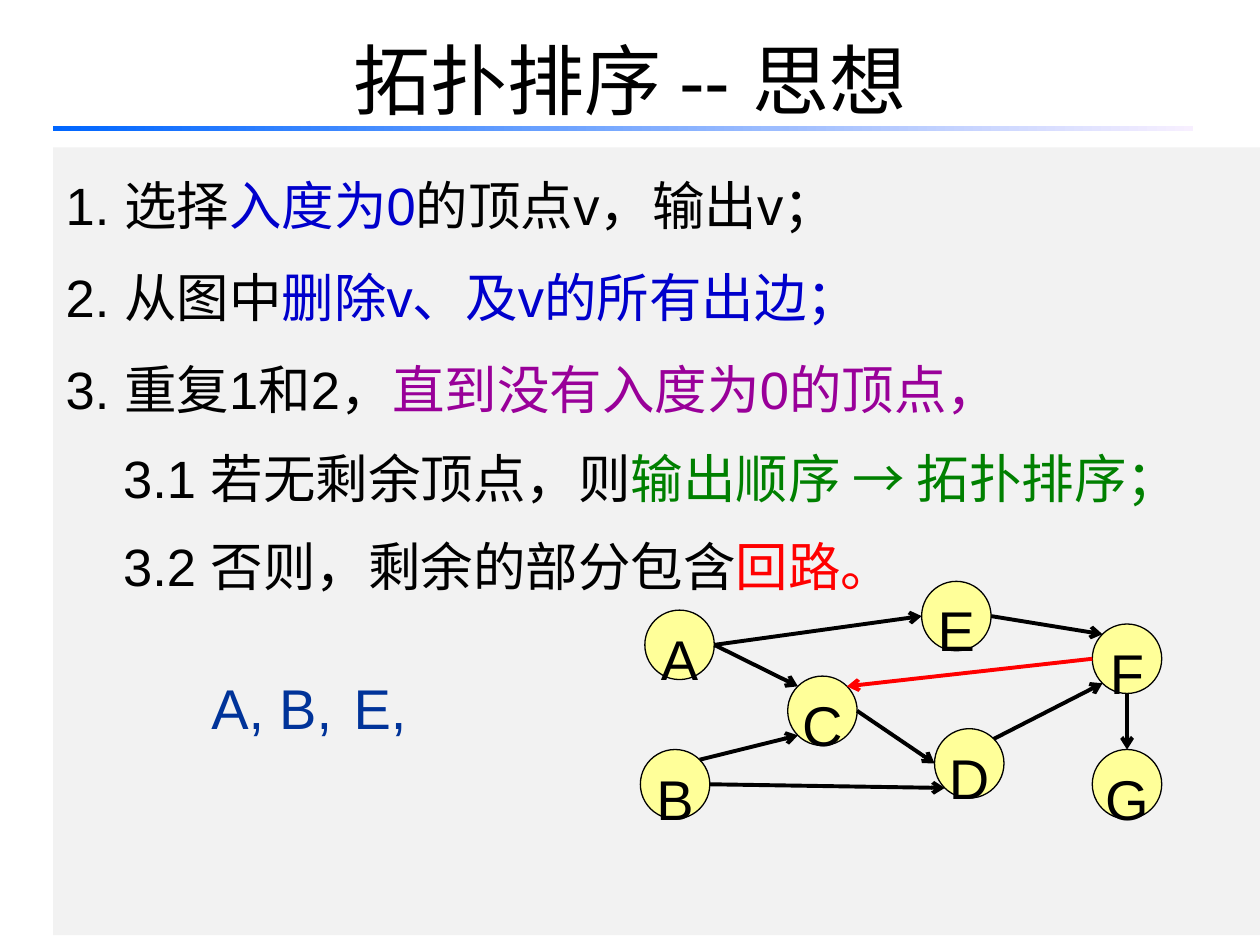
from dataclasses import dataclass
from math import cos, radians, sin

from lxml.etree import SubElement
from pptx import Presentation
from pptx.dml.color import RGBColor
from pptx.enum.shapes import MSO_CONNECTOR, MSO_SHAPE
from pptx.enum.text import MSO_ANCHOR, MSO_AUTO_SIZE, PP_ALIGN
from pptx.oxml.ns import qn
from pptx.util import Cm, Pt


@dataclass(frozen=True)
class Theme:
    font: str = "Arial"
    black: str = "000000"
    blue: str = "0000CC"
    purple: str = "990099"
    green: str = "008000"
    red: str = "FF0000"
    navy: str = "003399"
    panel: str = "F2F2F2"
    node: str = "FFFF99"
    rule_start: str = "0066FF"
    rule_end: str = "F7EFFF"
    title_size: int = 44
    body_size: int = 30
    label_size: int = 32


theme = Theme()


def add_span(para, text, size, color):
    span = para.add_run()
    span.text = text
    for name, value in {"name": theme.font, "size": Pt(size)}.items():
        setattr(span.font, name, value)
    span.font.color.rgb = RGBColor.from_string(color)


def set_format(target, values):
    for name, value in values.items():
        setattr(target, name, value)


deck = Presentation()
set_format(deck, {"slide_width": Cm(25.4), "slide_height": Cm(19.05)})
page = deck.slides.add_slide(deck.slide_layouts[1])

# Title
title = page.shapes.title
set_format(title, {"left": Cm(1.27), "top": Cm(0), "width": Cm(22.86), "height": Cm(3.18)})
set_format(title.text_frame, {"vertical_anchor": MSO_ANCHOR.MIDDLE,
                              "auto_size": MSO_AUTO_SIZE.NONE})
para = title.text_frame.paragraphs[0]
para.alignment = PP_ALIGN.CENTER
add_span(para, "拓扑排序 -- 思想", theme.title_size, theme.black)

# Steps of the algorithm: left edge, line spacing, space before, spans
steps = [
    (0, 1.3, 0, [("1. 选择", theme.black), ("入度为0", theme.blue),
                 ("的顶点v，输出v；", theme.black)]),
    (0, 1.3, 6, [("2. 从图中", theme.black), ("删除v、及v的所有出边；", theme.blue)]),
    (0, 1.3, 6, [("3. 重复1和2，", theme.black),
                 ("直到没有入度为0的顶点，", theme.purple)]),
    (1.16, 1.4, 0, [("3.1 若无剩余顶点，则", theme.black),
                    ("输出顺序 → 拓扑排序；", theme.green)]),
    (1.16, 1.4, 0, [("3.2 否则，剩余的部分包含", theme.black), ("回路。", theme.red)]),
]
hanging = 1.42
body = page.placeholders[1]
set_format(body, {"left": Cm(1.07), "top": Cm(2.97), "width": Cm(24.33), "height": Cm(15.88)})
body.fill.solid()
body.fill.fore_color.rgb = RGBColor.from_string(theme.panel)
frame = body.text_frame
set_format(frame, {"vertical_anchor": MSO_ANCHOR.TOP, "auto_size": MSO_AUTO_SIZE.NONE,
                   "word_wrap": True})
for index, (edge, spacing, before, spans) in enumerate(steps):
    para = frame.add_paragraph() if index else frame.paragraphs[0]
    properties = para._p.get_or_add_pPr()
    properties.set("marL", str(Cm(edge + hanging)))
    properties.set("indent", str(Cm(-hanging)))
    SubElement(properties, qn("a:buNone"))
    set_format(para, {"alignment": PP_ALIGN.JUSTIFY, "line_spacing": spacing,
                      "space_before": Pt(before)})
    for text, color in spans:
        add_span(para, text, theme.body_size, color)

# Gradient rule under the title
rule = page.shapes.add_shape(MSO_SHAPE.RECTANGLE, Cm(1.07), Cm(2.54), Cm(22.99), Cm(0.1))
rule.shadow.inherit = False
rule.line.fill.background()
rule.fill.gradient()
rule.fill.gradient_angle = 0
for stop, position, color in zip(rule.fill.gradient_stops, (0, 1),
                                 (theme.rule_start, theme.rule_end)):
    stop.position = position
    stop.color.rgb = RGBColor.from_string(color)

# Graph nodes, by centre
radius = 0.7
nodes = {"A": (13.7, 13), "B": (13.61, 15.81), "C": (16.58, 14.33), "D": (19.54, 15.39),
         "E": (19.28, 12.42), "F": (22.72, 13.28), "G": (22.72, 15.81)}
for name, (x, y) in nodes.items():
    node = page.shapes.add_shape(MSO_SHAPE.OVAL, Cm(x - radius), Cm(y - radius),
                                 Cm(2 * radius), Cm(2 * radius))
    node.shadow.inherit = False
    node.fill.solid()
    node.fill.fore_color.rgb = RGBColor.from_string(theme.node)
    node.line.color.rgb = RGBColor.from_string(theme.black)
    node.line.width = Pt(0.75)
    set_format(node.text_frame, {"vertical_anchor": MSO_ANCHOR.MIDDLE, "word_wrap": False,
                                 "margin_top": Cm(0.33)})
    para = node.text_frame.paragraphs[0]
    set_format(para, {"alignment": PP_ALIGN.CENTER, "line_spacing": 1.25})
    add_span(para, name, theme.label_size, theme.black)

# Graph edges: each end is a node and an angle on its rim, clockwise from the right
edges = [("A", 0, "C", 225, theme.black), ("B", 315, "C", 135, theme.black),
         ("B", 0, "D", 135, theme.black), ("C", 0, "D", 180, theme.black),
         ("A", 0, "E", 180, theme.black), ("D", 315, "F", 135, theme.black),
         ("E", 0, "F", 225, theme.black), ("F", 180, "C", 315, theme.red),
         ("F", 90, "G", 270, theme.black)]
for source, source_angle, target, target_angle, color in edges:
    ends = []
    for name, angle in ((source, source_angle), (target, target_angle)):
        x, y = nodes[name]
        ends += [Cm(x + radius * cos(radians(angle))), Cm(y + radius * sin(radians(angle)))]
    edge = page.shapes.add_connector(MSO_CONNECTOR.STRAIGHT, *ends)
    edge.line.color.rgb = RGBColor.from_string(color)
    edge.line.width = Pt(2.25)
    SubElement(edge.line._get_or_add_ln(), qn("a:tailEnd"), type="arrow")
    SubElement(edge._element.spPr, qn("a:effectLst"))

# Output order so far
for text, left in (("A,", 4.01), ("B,", 5.38), ("E,", 6.88)):
    box = page.shapes.add_textbox(Cm(left), Cm(13.34), Cm(1.6), Cm(1.96))
    set_format(box.text_frame, {"word_wrap": False, "margin_top": Cm(0.23)})
    add_span(box.text_frame.paragraphs[0], text, theme.label_size, theme.navy)

deck.save("out.pptx")
